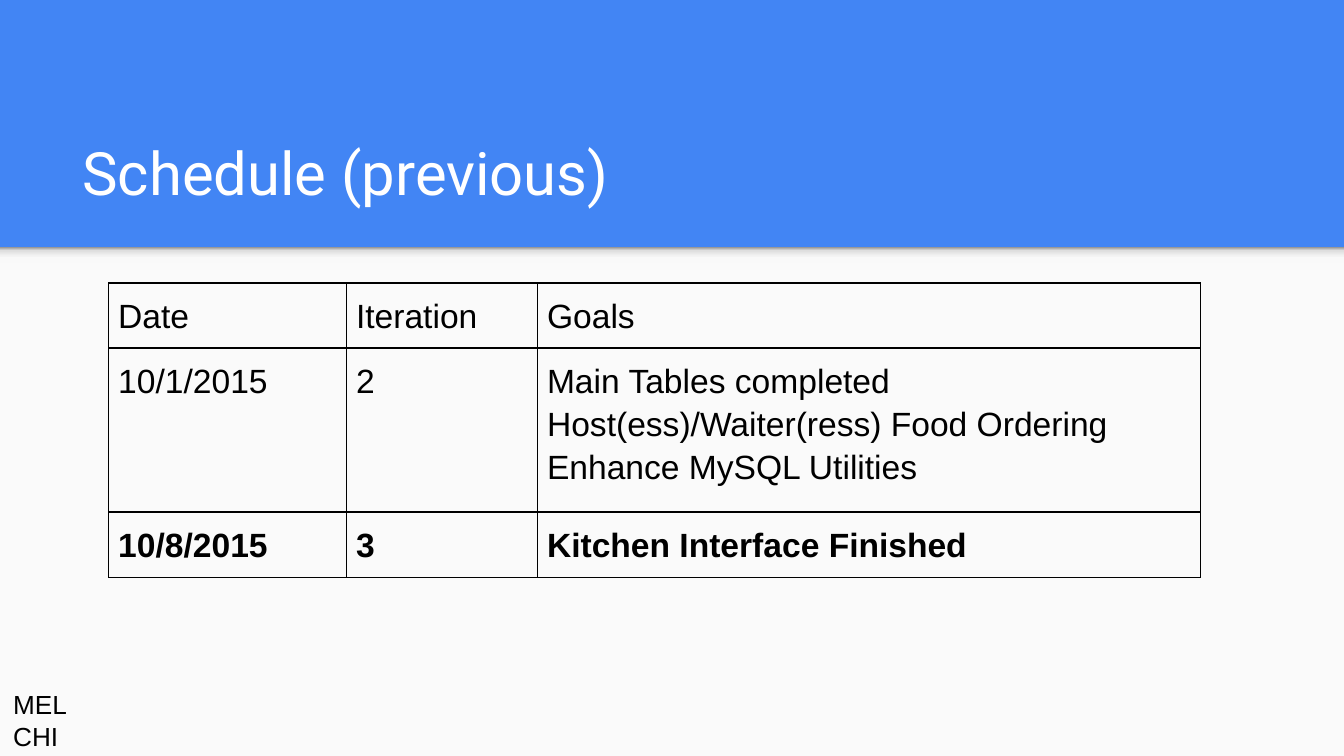
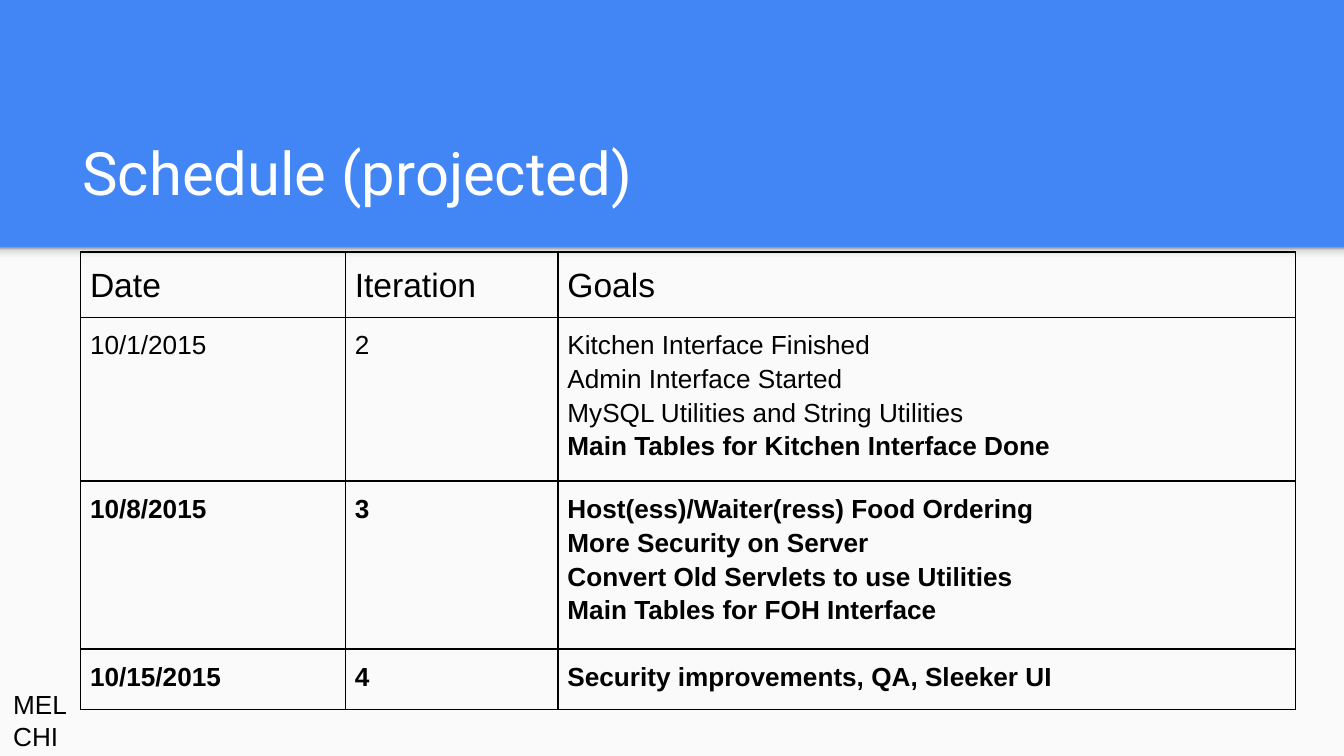
from copy import deepcopy
from dataclasses import dataclass

from lxml import etree
from pptx import Presentation
from pptx import util as u
from pptx.dml.color import RGBColor
from pptx.enum import shapes, text
from pptx.oxml.ns import qn

WIDTH = 10
HEIGHT = WIDTH * 9 / 16
COLUMNS = 100
UNIT = WIDTH / COLUMNS  # grid columns and rows have the same size
BAND_END = 18.4


def color(value):
    return RGBColor.from_string(value)


def grid(*lengths):
    return [u.Inches(length * UNIT) for length in lengths]


@dataclass
class Row:
    height: float
    date: str
    iteration: str
    goals: list
    size: int = 18
    bold: bool = False
    bold_goals: tuple = ()

    def cells(self):
        return [[self.date], [self.iteration], self.goals]


class Deck:
    BLUE, PAPER, INK, WHITE = "4285F4", "FAFAFA", "000000", "FFFFFF"
    BODY_FONT, TITLE_FONT = "Arial", "Roboto"
    SHADOW_STOPS = [(0, "F9F9F9"), (36, "F9F9F9"), (80, "DEDEDE"), (100, "999999")]
    COLUMN_SHARES = (0.218, 0.175, 0.607)

    def __init__(self):
        self.presentation = Presentation()
        self.presentation.slide_width = u.Inches(WIDTH)
        self.presentation.slide_height = u.Inches(HEIGHT)
        self.slide = None

    def add_slide(self, title):
        """Start a slide with the blue title band, the paper area and the band's shadow."""
        self.slide = self.presentation.slides.add_slide(self.presentation.slide_layouts[6])
        background = self.slide.background.fill
        background.solid()
        background.fore_color.rgb = color(self.BLUE)
        paper = self.rectangle(0, BAND_END, COLUMNS, HEIGHT / UNIT - BAND_END)
        paper.fill.solid()
        paper.fill.fore_color.rgb = color(self.PAPER)
        self.shade(self.rectangle(0, BAND_END, COLUMNS, 1.2))
        self.text_box(title, (5.15, 8.05, 89.9, 8.4), 32, self.TITLE_FONT, self.WHITE,
                      text.MSO_ANCHOR.BOTTOM, 1.2)

    def rectangle(self, *place):
        shape = self.slide.shapes.add_shape(shapes.MSO_SHAPE.RECTANGLE, *grid(*place))
        shape.shadow.inherit = False
        shape.line.fill.background()
        return shape

    def shade(self, shape):
        """Fill a shape with the shadow gradient, dark at the top."""
        shape.fill.gradient()
        shape.fill.gradient_angle = 90
        stop_list = shape.element.spPr.find(qn("a:gradFill")).find(qn("a:gsLst"))
        while len(stop_list) < len(self.SHADOW_STOPS):
            stop_list.append(deepcopy(stop_list[0]))
        for stop, (position, value) in zip(shape.fill.gradient_stops, self.SHADOW_STOPS):
            stop.position = position / 100
            stop.color.rgb = color(value)

    def add_run(self, paragraph, words, size, font, ink, bold=False):
        run = paragraph.add_run()
        run.text = words
        run.font.size = u.Pt(size)
        run.font.name = font
        run.font.bold = bold
        run.font.color.rgb = color(ink)

    def text_box(self, words, place, size, font, ink,
                 anchor=text.MSO_ANCHOR.TOP, spacing=1.0):
        frame = self.slide.shapes.add_textbox(*grid(*place)).text_frame
        frame.word_wrap = True
        frame.vertical_anchor = anchor
        frame.margin_left = frame.margin_right = u.Inches(0.1)
        frame.margin_top = frame.margin_bottom = u.Inches(0.1)
        paragraph = frame.paragraphs[0]
        paragraph.line_spacing = spacing
        self.add_run(paragraph, words, size, font, ink)

    def table(self, left, top, width, rows):
        height = sum(row.height for row in rows)
        table = self.slide.shapes.add_table(
            len(rows), len(self.COLUMN_SHARES), *grid(left, top, width, height)).table
        table.first_row = table.horz_banding = False
        for column, share in zip(table.columns, self.COLUMN_SHARES):
            column.width = u.Inches(width * share * UNIT)
        for table_row, row in zip(table.rows, rows):
            table_row.height = u.Inches(row.height * UNIT)
            for cell, lines in zip(table_row.cells, row.cells()):
                self.fill_cell(cell, lines, row)

    def fill_cell(self, cell, lines, row):
        cell.fill.background()
        cell.margin_left = cell.margin_right = u.Inches(0.07)
        cell.margin_top = cell.margin_bottom = u.Inches(0.07)
        self.border(cell)
        frame = cell.text_frame
        for index, line in enumerate(lines):
            paragraph = frame.add_paragraph() if index else frame.paragraphs[0]
            paragraph.line_spacing = 1.15
            self.add_run(paragraph, line, row.size, self.BODY_FONT, self.INK,
                         row.bold or line in row.bold_goals)

    def border(self, cell):
        properties = cell._tc.get_or_add_tcPr()
        for index, side in enumerate(("lnL", "lnR", "lnT", "lnB")):
            line = etree.Element(qn(f"a:{side}"), w=str(u.Pt(0.75)))
            fill = etree.SubElement(line, qn("a:solidFill"))
            etree.SubElement(fill, qn("a:srgbClr"), val=self.INK)
            properties.insert(index, line)

    def presenters(self, names):
        self.text_box(names, (0, 50.25, 6.6, 5.4), 14, self.BODY_FONT, self.INK)


def main():
    deck = Deck()
    heading = ("Date", "Iteration", ["Goals"])
    schedules = [
        ("Schedule (previous)", (8.1, 21.05, 81.2), [
            Row(3.8, *heading),
            Row(12.2, "10/1/2015", "2", [
                "Main Tables completed",
                "Host(ess)/Waiter(ress) Food Ordering",
                "Enhance MySQL Utilities"]),
            Row(4.8, "10/8/2015", "3", ["Kitchen Interface Finished"], bold=True),
        ]),
        ("Schedule (projected)", (6, 18.75, 90.4), [
            Row(4.5, *heading),
            Row(12.2, "10/1/2015", "2", [
                "Kitchen Interface Finished",
                "Admin Interface Started",
                "MySQL Utilities and String Utilities",
                "Main Tables for Kitchen Interface Done"],
                size=14, bold_goals=("Main Tables for Kitchen Interface Done",)),
            Row(12.5, "10/8/2015", "3", [
                "Host(ess)/Waiter(ress) Food Ordering",
                "More Security on Server",
                "Convert Old Servlets to use Utilities",
                "Main Tables for FOH Interface"], size=14, bold=True),
            Row(4.5, "10/15/2015", "4", ["Security improvements, QA, Sleeker UI"],
                size=14, bold=True),
        ]),
    ]
    for title, place, rows in schedules:
        deck.add_slide(title)
        deck.table(*place, rows)
        deck.presenters("MEL CHI")
    deck.presentation.save("out.pptx")


if __name__ == "__main__":
    main()
